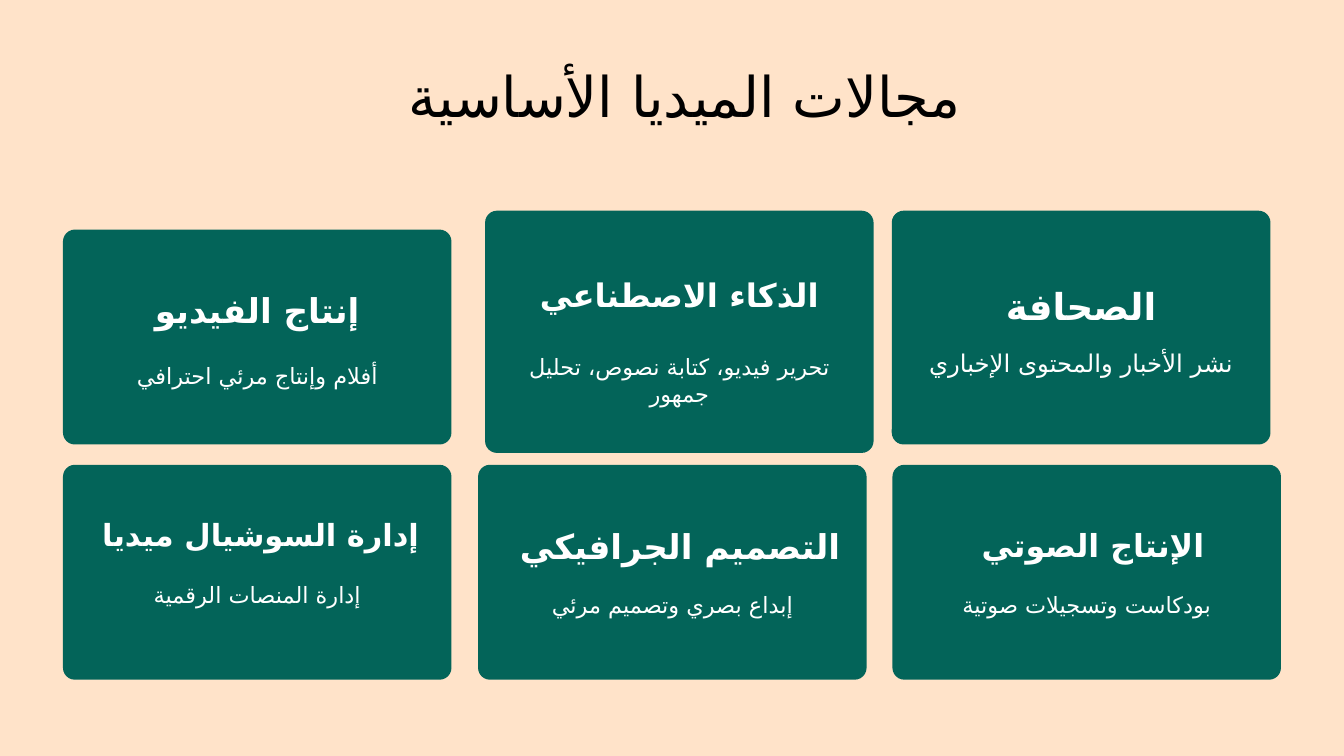
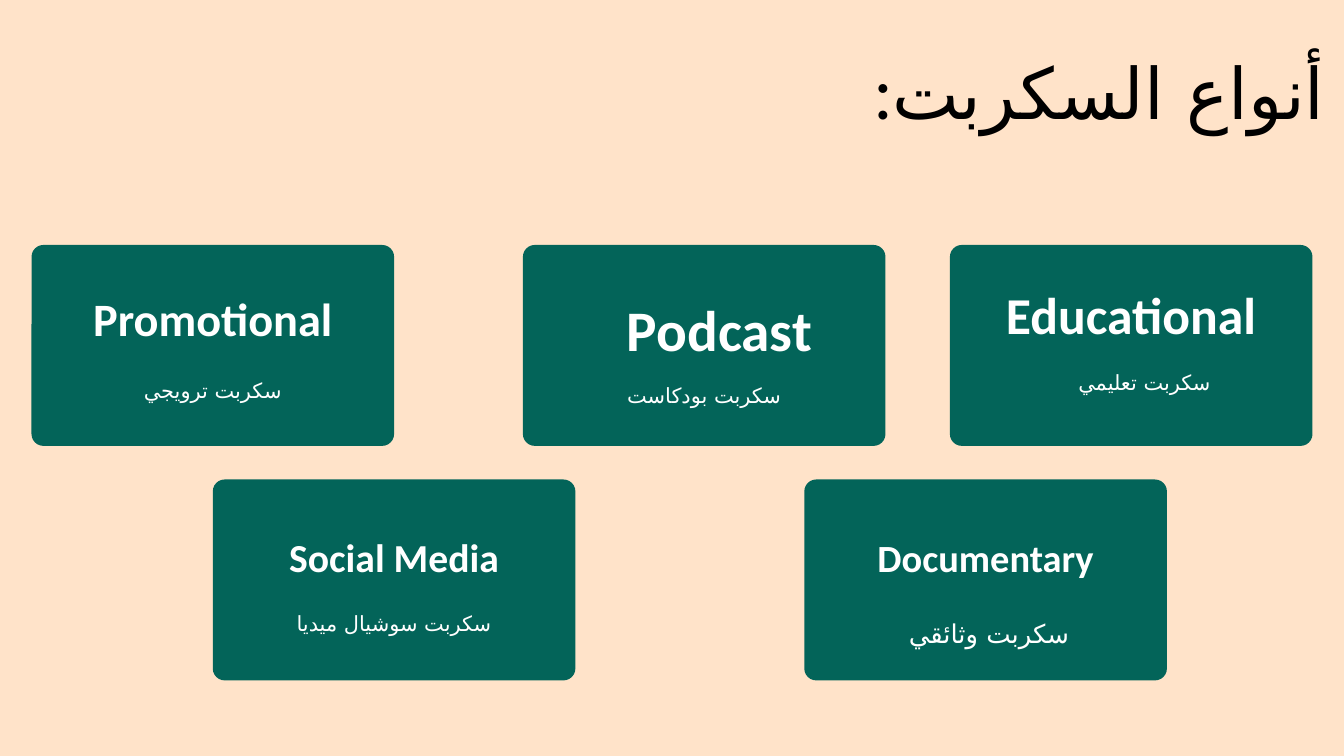
from dataclasses import dataclass

from pptx import Presentation
from pptx.dml.color import RGBColor
from pptx.enum.shapes import MSO_SHAPE
from pptx.enum.text import MSO_ANCHOR, MSO_AUTO_SIZE, PP_ALIGN
from pptx.oxml.ns import qn
from pptx.util import Pt

ROUNDED = MSO_SHAPE.ROUNDED_RECTANGLE
TOP = MSO_ANCHOR.TOP
NO_AUTOFIT = MSO_AUTO_SIZE.NONE
CENTER = PP_ALIGN.CENTER

EMU_PER_PX = 9525
SLIDE_WIDTH, SLIDE_HEIGHT = 1920, 1080
TITLE_ONLY = 5

CREAM = "FFE3C9"
GREEN = "036459"
WHITE = "FFFFFF"
BLACK = "000000"
TITLE_FONT = "Lato"
CARD_FONT = "Calibri"
ARABIC_FONT = "DejaVu Sans"
CORNER_RADIUS = 17

FIELD_SIZE = (555, 307)
SCRIPT_SIZE = (518, 287)
FIELD_ROW = 664
SCRIPT_ROWS = (350, 685)


@dataclass
class Label:
    """Words on a card, with their drop from its top and shift from its centre."""
    text: str
    size: float
    drop: int
    shift: int = 0


@dataclass
class Card:
    """A rounded card that holds a heading and a caption."""
    left: int
    top: int
    size: tuple
    heading: Label
    caption: Label


FIELDS = [
    Card(1275, FIELD_ROW, FIELD_SIZE,
         Label("الإنتاج الصوتي", 33.9, 83, 9),
         Label("بودكاست وتسجيلات صوتية", 24, 180)),
    Card(90, FIELD_ROW, FIELD_SIZE,
         Label("إدارة السوشيال ميديا", 32.6, 69, 5),
         Label("إدارة المنصات الرقمية", 24, 166)),
    Card(90, 328, FIELD_SIZE,
         Label("إنتاج الفيديو", 36.6, 81),
         Label("أفلام وإنتاج مرئي احترافي", 24, 189)),
    Card(1274, 301, (541, 334),
         Label("الصحافة", 39.7, 98),
         Label("نشر الأخبار والمحتوى الإخباري", 26.1, 196)),
    Card(683, FIELD_ROW, FIELD_SIZE,
         Label("التصميم الجرافيكي", 36.6, 81, 11),
         Label("إبداع بصري وتصميم مرئي", 24, 180)),
    Card(693, 301, (555, 346),
         Label("الذكاء الاصطناعي", 34.7, 87),
         Label("تحرير فيديو، كتابة نصوص، تحليل جمهور", 24, 204)),
]

SCRIPT_TYPES = [
    Card(45, SCRIPT_ROWS[0], SCRIPT_SIZE,
         Label("Promotional", 49.7, 58),
         Label("سكربت ترويجي", 22.4, 190)),
    Card(747, SCRIPT_ROWS[0], SCRIPT_SIZE,
         Label("Podcast", 61.4, 62, 22),
         Label("سكربت بودكاست", 22.4, 197)),
    Card(1357, SCRIPT_ROWS[0], SCRIPT_SIZE,
         Label("Educational", 55.4, 47),
         Label("سكربت تعليمي", 22.4, 178, 19)),
    Card(304, SCRIPT_ROWS[1], SCRIPT_SIZE,
         Label("Social Media", 42.5, 70),
         Label("سكربت سوشيال ميديا", 22.4, 188)),
    Card(1149, SCRIPT_ROWS[1], SCRIPT_SIZE,
         Label("Documentary", 41.2, 72),
         Label("سكربت وثائقي", 27.7, 198, 5)),
]


def px(*lengths):
    """Turn pixel lengths into EMU."""
    return [round(length * EMU_PER_PX) for length in lengths]


def rgb(hex_color):
    """Turn a hex string into a colour."""
    return RGBColor.from_string(hex_color)


def write(shape, text, *, size, leading, font=CARD_FONT, color=WHITE, bold=False):
    """Fill a shape with one centred paragraph of formatted text."""
    frame = shape.text_frame
    frame.word_wrap = True
    frame.auto_size = NO_AUTOFIT
    frame.vertical_anchor = TOP
    frame.margin_left = frame.margin_right = 0
    frame.margin_top = frame.margin_bottom = 0
    paragraph = frame.paragraphs[0]
    paragraph.alignment = CENTER
    paragraph.line_spacing = Pt(leading)
    run = paragraph.add_run()
    run.text = text
    run.font.size = Pt(size)
    run.font.bold = bold
    run.font.color.rgb = rgb(color)
    run.font.name = font
    properties = run.font._element
    arabic = properties.makeelement(qn("a:cs"), {"typeface": ARABIC_FONT})
    properties.find(qn("a:latin")).addnext(arabic)


def add_titled_slide(prs, title, box, *, size, leading):
    """Add a cream slide with its title in the given box."""
    slide = prs.slides.add_slide(prs.slide_layouts[TITLE_ONLY])
    slide.background.fill.solid()
    slide.background.fill.fore_color.rgb = rgb(CREAM)
    heading = slide.shapes.title
    heading.left, heading.top, heading.width, heading.height = px(*box)
    write(heading, title, size=size, leading=leading, font=TITLE_FONT, color=BLACK)
    return slide


def add_label(slide, card, label, *, line_ratio, height_ratio, bold=False):
    """Add words to a card in a box that scales with the text size."""
    width = label.size * 19.07
    left = card.left + card.size[0] / 2 + label.shift - width / 2
    box = slide.shapes.add_textbox(
        *px(left, card.top + label.drop, width, label.size * height_ratio))
    write(box, label.text, size=label.size, leading=label.size * line_ratio, bold=bold)


def add_card(slide, card):
    """Draw a green card with its caption and heading."""
    panel = slide.shapes.add_shape(ROUNDED, *px(card.left, card.top, *card.size))
    panel.adjustments[0] = CORNER_RADIUS / min(card.size)
    panel.shadow.inherit = False
    panel.fill.solid()
    panel.fill.fore_color.rgb = rgb(GREEN)
    panel.line.fill.background()
    add_label(slide, card, card.caption, line_ratio=1.2, height_ratio=3.2)
    add_label(slide, card, card.heading, line_ratio=1.3, height_ratio=3.37, bold=True)


def main():
    """Build both slides and save the deck."""
    prs = Presentation()
    prs.slide_width, prs.slide_height = px(SLIDE_WIDTH, SLIDE_HEIGHT)

    fields_slide = add_titled_slide(
        prs, "مجالات الميديا الأساسية", (126, 88, 1704, 194), size=60, leading=72)
    for card in FIELDS:
        add_card(fields_slide, card)

    scripts_slide = add_titled_slide(
        prs, ":أنواع السكربت", (719, 89, 1704, 208), size=76, leading=76)
    for card in SCRIPT_TYPES:
        add_card(scripts_slide, card)

    prs.save("out.pptx")


if __name__ == "__main__":
    main()
